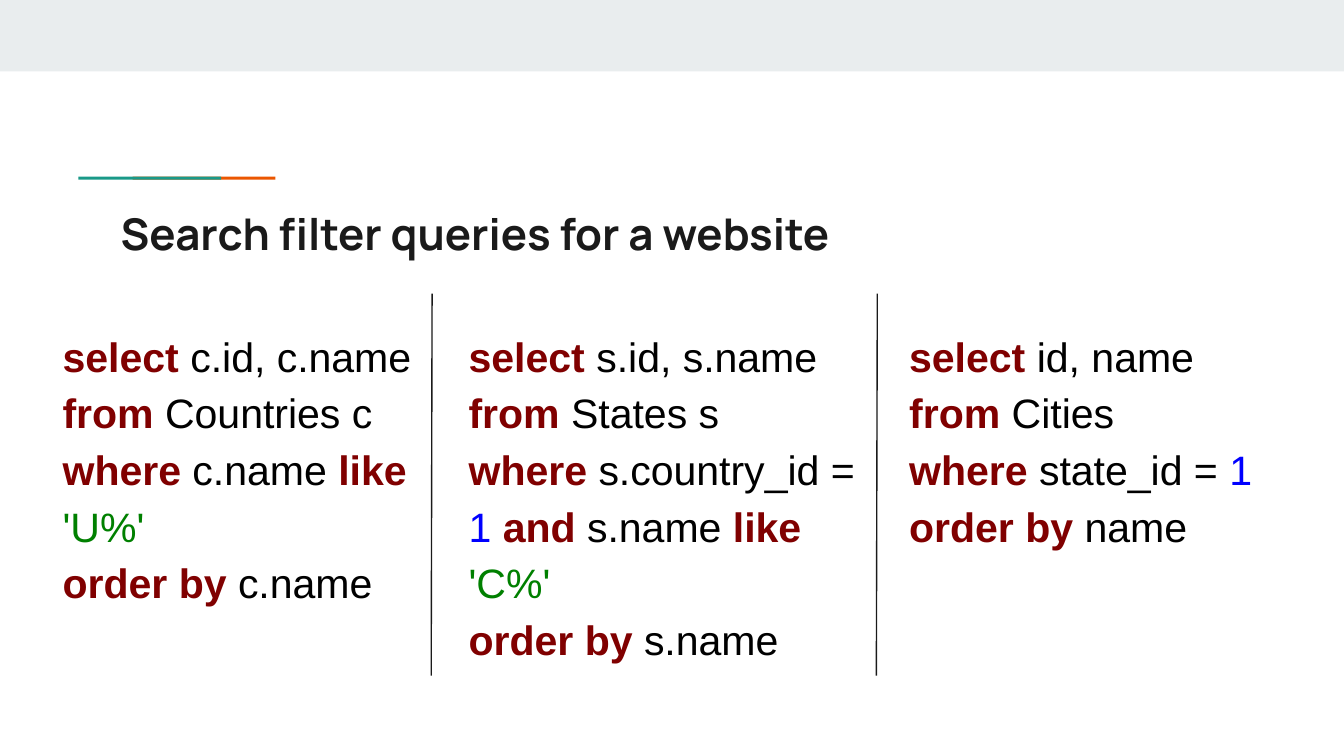
"""Build a slide showing three search filter queries side by side."""
import itertools

import lxml.etree
import pptx
import pptx.dml.color
import pptx.enum.shapes
import pptx.enum.text
import pptx.oxml.ns
import pptx.util

Pt = pptx.util.Pt
theme = {
    "band": "E9EDEE", "orange": "EB5600", "teal": "1A9988", "ink": "1A1A1A",
    "word": "800000", "text": "008000", "digit": "0000FF", "plain": "000000",
    "head": 23.4, "code": 22,
}
keys = {"select", "from", "where", "like", "and", "order", "by"}


def kind(token):
    if token in keys:
        return "word"
    if token.startswith("'"):
        return "text"
    return "digit" if token.isdigit() else "plain"


def style(run, name, size, color, bold):
    for key, value in {"name": name, "size": Pt(size), "bold": bold}.items():
        setattr(run.font, key, value)
    run.font.color.rgb = pptx.dml.color.RGBColor.from_string(theme[color])


deck = pptx.Presentation()
deck.slide_width, deck.slide_height = Pt(720), Pt(405)
shapes = deck.slides.add_slide(deck.slide_layouts[6]).shapes

bars = [
    ("band", 0, 0, 720, 38.3),
    ("orange", 71, 94.7, 76.5, 1.6),
    ("teal", 42, 94.7, 76.5, 1.6),
]
for color, *place in bars:
    bar = shapes.add_shape(pptx.enum.shapes.MSO_SHAPE.RECTANGLE, *map(Pt, place))
    bar.shadow.inherit = False
    bar.fill.solid()
    bar.fill.fore_color.rgb = pptx.dml.color.RGBColor.from_string(theme[color])
    bar.line.fill.background()

boxes = [
    (57.6, 103.7, 605.5, 42.5, ["Search filter queries for a website"]),
    (24.5, 166.3, 236, 164, [
        "select c.id, c.name", "from Countries c",
        "where c.name like 'U%'", "order by c.name"]),
    (242, 166.3, 236, 194.4, [
        "select s.id, s.name", "from States s",
        "where s.country_id = 1 and s.name like 'C%'", "order by s.name"]),
    (478, 166.3, 236, 133, [
        "select id, name", "from Cities",
        "where state_id = 1", "order by name"]),
]
for *place, lines in boxes:
    frame = shapes.add_textbox(*map(Pt, place)).text_frame
    form = {"word_wrap": True, "vertical_anchor": pptx.enum.text.MSO_ANCHOR.TOP}
    form.update({f"margin_{side}": Pt(7.2) for side in ("left", "top", "right", "bottom")})
    for key, value in form.items():
        setattr(frame, key, value)
    for row, line in enumerate(lines):
        para = frame.add_paragraph() if row else frame.paragraphs[0]
        if len(lines) == 1:
            run = para.add_run()
            run.text = line
            style(run, "Manrope", theme["head"], "ink", True)
            continue
        para.line_spacing = 1.15
        para._p.get_or_add_pPr().set("marL", str(Pt(2)))
        tokens = line.replace(" ", "| |").split("|")
        for color, group in itertools.groupby(tokens, kind):
            run = para.add_run()
            run.text = "".join(group)
            style(run, "Arial", theme["code"], color, color == "word")

for left in (231.5, 470):
    rule = shapes.add_connector(
        pptx.enum.shapes.MSO_CONNECTOR.STRAIGHT,
        Pt(left), Pt(157.3), Pt(left - 0.5), Pt(362))
    rule.line.width = Pt(0.75)
    rule.line.color.rgb = pptx.dml.color.RGBColor.from_string(theme["ink"])
    lxml.etree.SubElement(rule._element.spPr, pptx.oxml.ns.qn("a:effectLst"))

deck.save("out.pptx")
